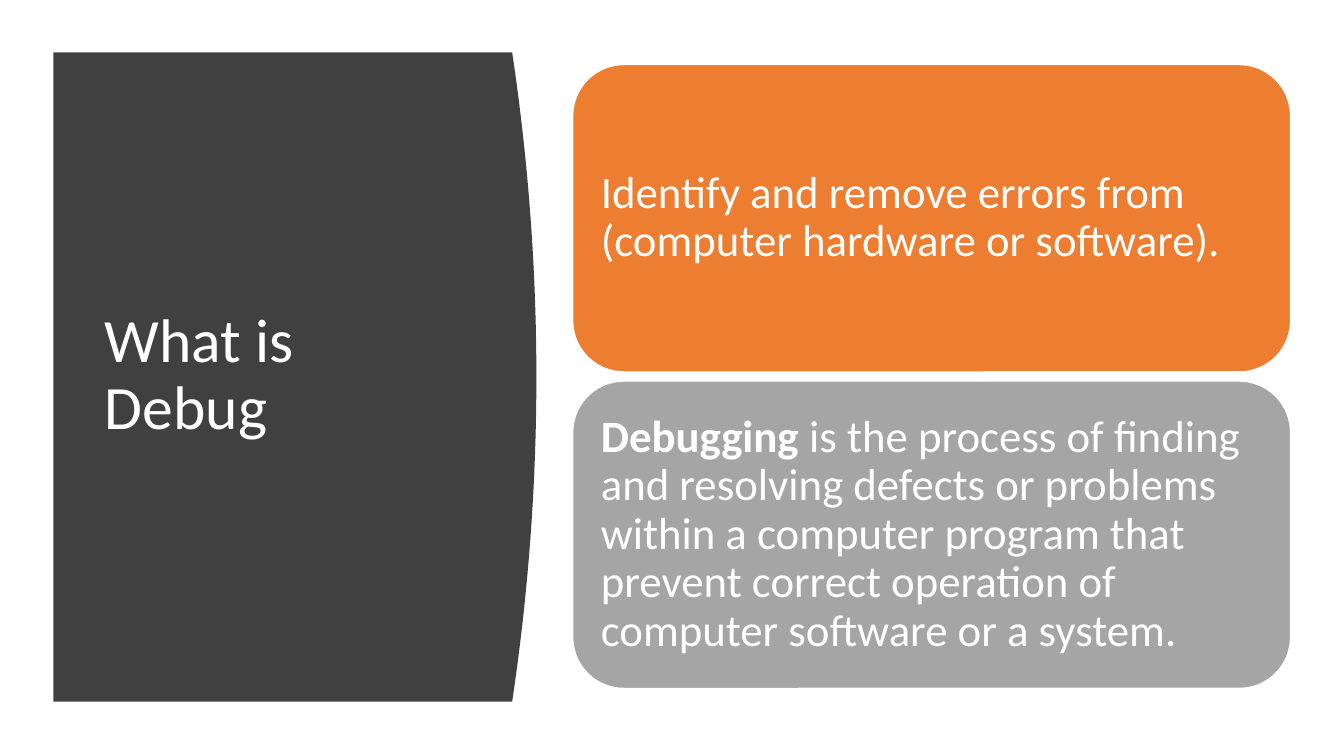
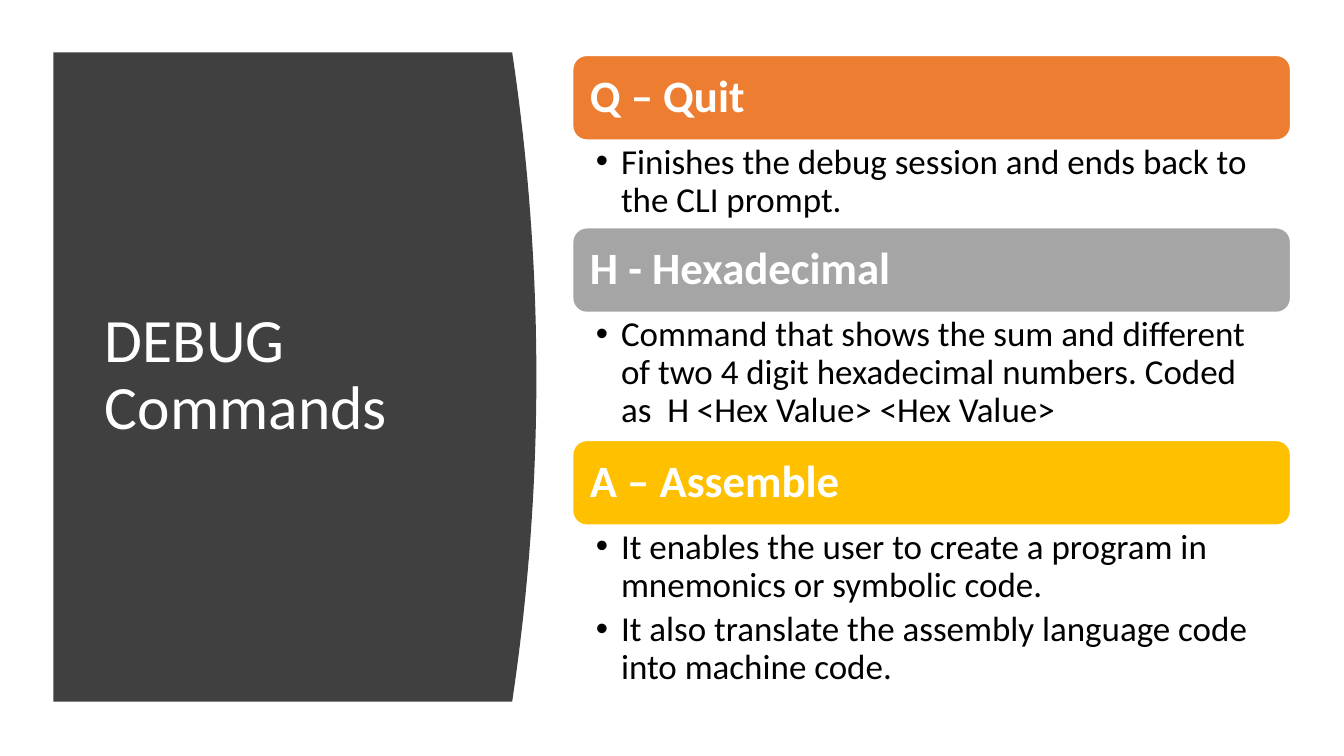
from dataclasses import dataclass

from lxml import etree
from pptx import Presentation
from pptx import util as u
from pptx.dml.color import RGBColor
from pptx.enum import shapes, text
from pptx.oxml import ns


@dataclass(frozen=True)
class Theme:
    font: str = "Calibri"
    panel: str = "404040"
    light: str = "FFFFFF"
    dark: str = "000000"
    orange: str = "ED7D31"
    grey: str = "A5A5A5"
    gold: str = "FFC000"
    title_size: int = 44
    card_size: int = 32
    list_size: int = 25
    line_spacing: float = 0.9


THEME = Theme()
TITLE_LAYOUT = 5
CONTENT_LEFT, CONTENT_WIDTH = 5.68, 7.12
CARD_INSETS = (0.13, 0.13, 0.13, 0.13)
LIST_INSETS = (0.23, 0.04, 0.25, 0.04)

CARDS = [
    (THEME.orange, [("Identify and remove errors from (computer hardware or software).", False)]),
    (THEME.grey, [
        ("Debugging", True),
        (" is the process of finding and resolving defects or problems within a "
         "computer program that prevent correct operation of computer software "
         "or a system.", False),
    ]),
]

COMMANDS = [
    (THEME.orange, "Q – Quit", 0.87,
     ["Finishes the debug session and ends back to the CLI prompt."]),
    (THEME.grey, "H - Hexadecimal", 1.27,
     ["Command that shows the sum and different of two 4 digit hexadecimal numbers. "
      "Coded as  H <Hex Value> <Hex Value>"]),
    (THEME.gold, "A – Assemble", 1.7,
     ["It enables the user to create a program in mnemonics or symbolic code.",
      "It also translate the assembly language code into machine code."]),
]


def inches(*lengths):
    return [u.Inches(length) for length in lengths]


def color(value):
    return RGBColor.from_string(value)


def add_bullet(para):
    properties = para._p.get_or_add_pPr()
    properties.set("marL", str(u.Inches(0.25)))
    properties.set("indent", str(u.Inches(-0.25)))
    etree.SubElement(properties, ns.qn("a:buFont"), typeface="Arial")
    etree.SubElement(properties, ns.qn("a:buChar"), char="•")


def write(box, paragraphs, *, size, fill=THEME.light, insets=(0.1, 0.05, 0.1, 0.05),
          anchor=text.MSO_ANCHOR.MIDDLE, bullet=False, space_after=0):
    frame = box.text_frame
    frame.word_wrap = True
    frame.auto_size = text.MSO_AUTO_SIZE.NONE
    frame.vertical_anchor = anchor
    (frame.margin_left, frame.margin_top,
     frame.margin_right, frame.margin_bottom) = inches(*insets)
    for index, spans in enumerate(paragraphs):
        para = frame.add_paragraph() if index else frame.paragraphs[0]
        para.alignment = text.PP_ALIGN.LEFT
        para.line_spacing = THEME.line_spacing
        para.space_after = u.Pt(space_after)
        if bullet:
            add_bullet(para)
        for words, bold in spans:
            span = para.add_run()
            span.text = words
            span.font.name = THEME.font
            span.font.size = u.Pt(size)
            span.font.bold = bold
            span.font.color.rgb = color(fill)


def add_panel(page):
    left, top, corner, bulge, height, steps = 0.53, 0.52, 5.08, 0.24, 6.44, 40
    curve = []
    for step in range(steps + 1):
        offset = 2 * step / steps - 1
        curve.append(inches(corner + bulge * (1 - offset ** 2), top + height * step / steps))
    builder = page.shapes.build_freeform(*inches(left, top))
    builder.add_line_segments(curve + [inches(left, top + height)], close=True)
    panel = builder.convert_to_shape()
    panel.shadow.inherit = False
    panel.fill.solid()
    panel.fill.fore_color.rgb = color(THEME.panel)
    panel.line.fill.background()
    return panel


def add_page(deck, heading):
    page = deck.slides.add_slide(deck.slide_layouts[TITLE_LAYOUT])
    title = page.shapes.title
    panel = add_panel(page)
    title.element.addprevious(panel.element)
    title.left, title.top, title.width, title.height = inches(0.94, 1.11, 3.74, 5.24)
    write(title, [[(heading, False)]], size=THEME.title_size)
    return page


def add_card(page, top, height, fill, spans):
    card = page.shapes.add_shape(shapes.MSO_SHAPE.ROUNDED_RECTANGLE,
                                 *inches(CONTENT_LEFT, top, CONTENT_WIDTH, height))
    card.shadow.inherit = False
    card.fill.solid()
    card.fill.fore_color.rgb = color(fill)
    card.line.color.rgb = color(THEME.light)
    card.line.width = u.Pt(1)
    write(card, [spans], size=THEME.card_size, insets=CARD_INSETS)


def add_list(page, top, height, items):
    box = page.shapes.add_textbox(*inches(CONTENT_LEFT, top, CONTENT_WIDTH, height))
    write(box, [[(item, False)] for item in items], size=THEME.list_size, fill=THEME.dark,
          insets=LIST_INSETS, anchor=text.MSO_ANCHOR.TOP, bullet=True, space_after=5)


def add_definition_page(deck):
    page = add_page(deck, "What is Debug")
    top, height, gap = 0.64, 3.05, 0.09
    for index, (fill, spans) in enumerate(CARDS):
        add_card(page, top + index * (height + gap), height, fill, spans)


def add_commands_page(deck):
    page = add_page(deck, "DEBUG Commands")
    top, card_height = 0.55, 0.84
    for fill, heading, list_height, items in COMMANDS:
        add_card(page, top, card_height, fill, [(heading, True)])
        add_list(page, top + card_height, list_height, items)
        top += card_height + list_height


def main():
    deck = Presentation()
    deck.slide_width, deck.slide_height = inches(13.33, 7.5)
    add_definition_page(deck)
    add_commands_page(deck)
    deck.save("out.pptx")


if __name__ == "__main__":
    main()
